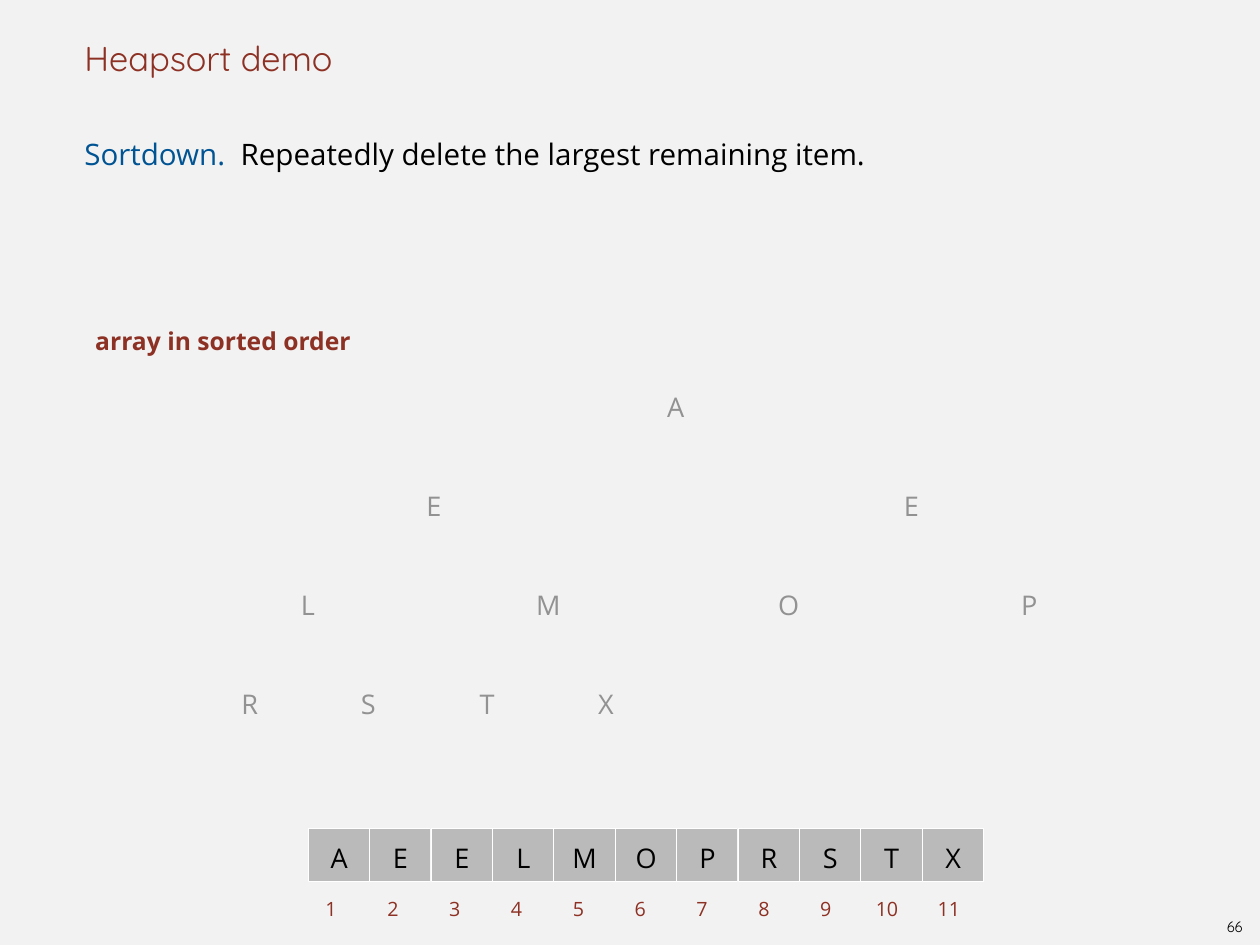
"""Build the heapsort demo slide: the sorted array and its heap tree."""
from dataclasses import dataclass

from lxml import etree
from pptx import Presentation
from pptx import util as u
from pptx.dml.color import RGBColor
from pptx.enum import shapes, text
from pptx.oxml.ns import qn

TITLE = "Heapsort demo"
STEP_NAME, STEP_TEXT = "Sortdown.", "Repeatedly delete the largest remaining item."
STATUS = "array in sorted order"
PAGE_NUMBER = "66"
ITEMS = ["A", "E", "E", "L", "M", "O", "P", "R", "S", "T", "X"]
TREE_LEVELS = [
    {"left": 530.4, "gap": 0},
    {"left": 334, "gap": 388},
    {"left": 231.5, "gap": 195.4},
    {"left": 184.2, "gap": 96.5},
]


@dataclass(frozen=True)
class Theme:
    background: str = "F2F2F2"
    ink: str = "000000"
    red: str = "8D3124"
    blue: str = "005493"
    faded: str = "929292"
    cell: str = "BABABA"
    cell_line: str = "FFFFFF"
    body_font: str = "Open Sans"
    title_font: str = "Quicksand"
    title_size: int = 28
    body_size: int = 24
    item_size: int = 22
    status_size: int = 20
    index_size: int = 16
    page_size: int = 12


THEME = Theme()
INDENT = 4.6
TREE_TOP, LEVEL_HEIGHT, NODE_SIZE = 312.4, 80.4, 36.8
ARRAY_LEFT, ARRAY_TOP, CELL_STEP, CELL_WIDTH, CELL_HEIGHT = 250.4, 673, 49.9, 49.7, 43.5
INDEX_CENTER, INDEX_TOP, INDEX_STEP, INDEX_HEIGHT = 271.9, 719.3, 50.25, 26
INDEX_WIDTHS = {1: 24, 2: 34}
STEP_TAB = 127


def style_run(run, size, color, font=THEME.body_font, bold=False):
    run.font.size = u.Pt(size)
    run.font.color.rgb = RGBColor.from_string(color)
    run.font.name = font
    run.font.bold = bold


def set_text(shape, content, size, color, font=THEME.body_font, bold=False, centered=False,
             anchor=text.MSO_ANCHOR.TOP, margin=0, indent=0, spacing=None, grow=False):
    frame = shape.text_frame
    frame.word_wrap = not grow
    frame.auto_size = (text.MSO_AUTO_SIZE.SHAPE_TO_FIT_TEXT if grow
                       else text.MSO_AUTO_SIZE.NONE)
    frame.vertical_anchor = anchor
    frame.margin_left = frame.margin_right = u.Pt(margin)
    frame.margin_top = frame.margin_bottom = u.Pt(margin)
    frame.text = content
    paragraph = frame.paragraphs[0]
    paragraph.alignment = text.PP_ALIGN.CENTER if centered else text.PP_ALIGN.LEFT
    paragraph._p.get_or_add_pPr().set("marL", str(u.Pt(indent)))
    if spacing:
        paragraph.line_spacing = spacing
    style_run(paragraph.runs[0], size, color, font, bold)
    return paragraph


def add_label(slide, left, top, width, height, content, size, color, **options):
    box = slide.shapes.add_textbox(u.Pt(left), u.Pt(top), u.Pt(width), u.Pt(height))
    return set_text(box, content, size, color, **options)


def add_headings(slide):
    step = add_label(slide, 64 + INDENT, 100, 892, 640, STEP_NAME, THEME.body_size, THEME.blue,
                     spacing=u.Pt(39))
    tabs = etree.SubElement(step._p.get_or_add_pPr(), qn("a:tabLst"))
    etree.SubElement(tabs, qn("a:tab"), pos=str(u.Pt(STEP_TAB)), algn="l")
    explanation = step.add_run()
    explanation.text = "\t" + STEP_TEXT
    style_run(explanation, THEME.body_size, THEME.ink)
    add_label(slide, 991.2, 741.2, 24.5, 23, PAGE_NUMBER, THEME.page_size, THEME.ink,
              font=THEME.title_font, centered=True, anchor=text.MSO_ANCHOR.MIDDLE,
              margin=4, grow=True)
    add_label(slide, 64, 0, 896, 64, TITLE, THEME.title_size, THEME.red,
              font=THEME.title_font, anchor=text.MSO_ANCHOR.BOTTOM, indent=INDENT)
    add_label(slide, 72.8, 252.7, 228, 31, STATUS, THEME.status_size, THEME.red,
              bold=True, indent=INDENT, spacing=1.5, grow=True)


def add_array(slide):
    array = slide.shapes.add_group_shape()
    for position, item in enumerate(ITEMS):
        cell = array.shapes.add_shape(
            shapes.MSO_SHAPE.RECTANGLE, u.Pt(ARRAY_LEFT + position * CELL_STEP),
            u.Pt(ARRAY_TOP), u.Pt(CELL_WIDTH), u.Pt(CELL_HEIGHT))
        cell.shadow.inherit = False
        cell.fill.solid()
        cell.fill.fore_color.rgb = RGBColor.from_string(THEME.cell)
        cell.line.color.rgb = RGBColor.from_string(THEME.cell_line)
        cell.line.width = u.Pt(0.5)
        set_text(cell, item, THEME.item_size, THEME.ink, centered=True,
                 anchor=text.MSO_ANCHOR.MIDDLE, indent=0.6, spacing=1.2)
        index = str(position + 1)
        width = INDEX_WIDTHS[len(index)]
        add_label(slide, INDEX_CENTER + position * INDEX_STEP - width / 2, INDEX_TOP,
                  width, INDEX_HEIGHT, index, THEME.index_size, THEME.red,
                  indent=INDENT, spacing=1.5, grow=True)


def add_node(slide, left, top, item):
    right, bottom = left + NODE_SIZE, top + NODE_SIZE
    outline = slide.shapes.build_freeform(u.Pt(left), u.Pt(top))
    outline.add_line_segments([(u.Pt(x), u.Pt(y)) for x, y in
                               ((right, top), (right, bottom), (left, bottom))])
    node = outline.convert_to_shape()
    node.shadow.inherit = False
    node.fill.background()
    node.line.fill.background()
    set_text(node, item, THEME.item_size, THEME.faded, centered=True,
             anchor=text.MSO_ANCHOR.MIDDLE, indent=0.6)


def add_tree(slide):
    for position, item in enumerate(ITEMS, start=1):
        depth = position.bit_length() - 1
        column = position - 2 ** depth
        level = TREE_LEVELS[depth]
        add_node(slide, level["left"] + column * level["gap"],
                 TREE_TOP + depth * LEVEL_HEIGHT, item)


def main():
    presentation = Presentation()
    presentation.slide_width, presentation.slide_height = u.Pt(1024), u.Pt(768)
    slide = presentation.slides.add_slide(presentation.slide_layouts[6])
    slide.background.fill.solid()
    slide.background.fill.fore_color.rgb = RGBColor.from_string(THEME.background)
    add_headings(slide)
    add_array(slide)
    add_tree(slide)
    presentation.save("out.pptx")


if __name__ == "__main__":
    main()
